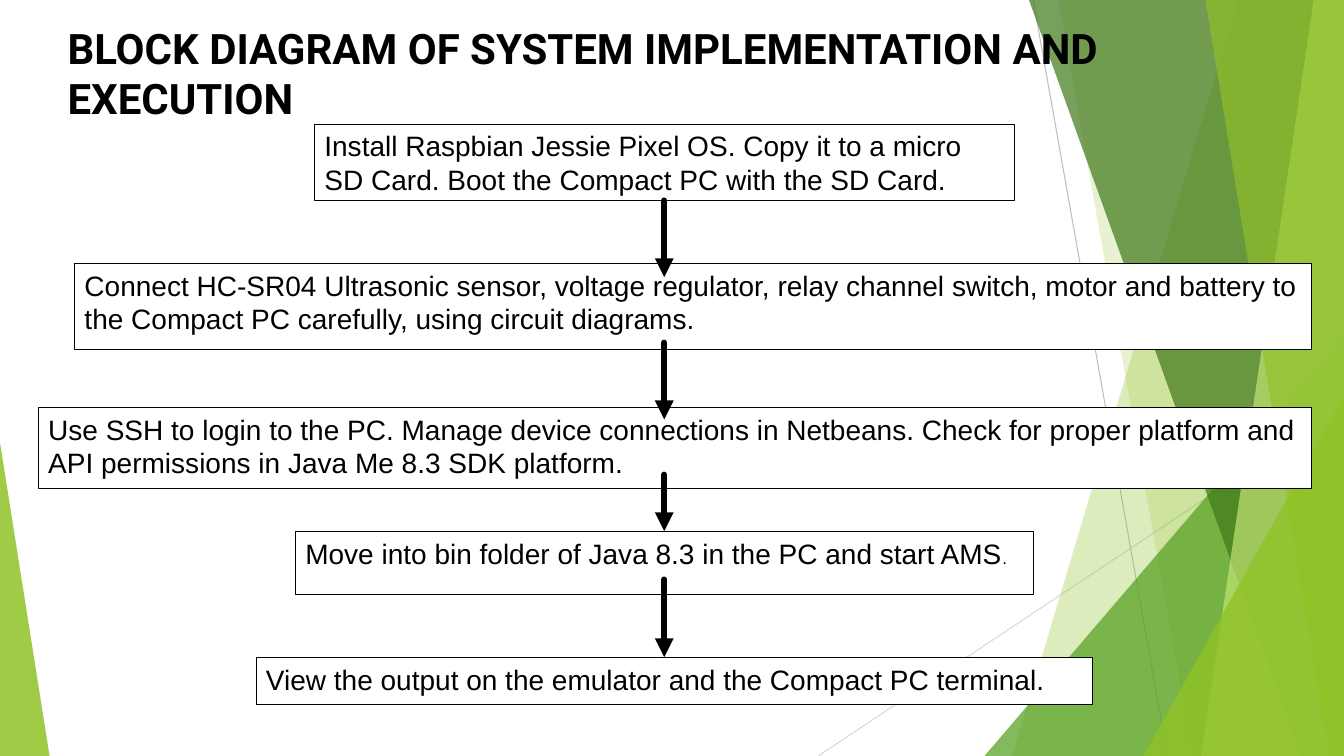
from lxml import etree
from pptx import Presentation
from pptx.dml.color import RGBColor
from pptx.enum.shapes import MSO_CONNECTOR, MSO_SHAPE
from pptx.enum.text import MSO_ANCHOR, MSO_AUTO_SIZE, PP_ALIGN
from pptx.oxml.ns import qn
from pptx.util import Inches, Pt

STRAIGHT = MSO_CONNECTOR.STRAIGHT
RECTANGLE, TRIANGLE = MSO_SHAPE.RECTANGLE, MSO_SHAPE.ISOSCELES_TRIANGLE
TOP, LEFT, NO_FIT = MSO_ANCHOR.TOP, PP_ALIGN.LEFT, MSO_AUTO_SIZE.NONE
TOP_SIDE, BOTTOM_SIDE = 0, 2

BLACK, WHITE = RGBColor(0, 0, 0), RGBColor(255, 255, 255)
LIME = RGBColor(0x90, 0xC2, 0x26)
GREEN = RGBColor(0x54, 0xA0, 0x21)
FOREST = RGBColor(0x3F, 0x78, 0x19)
PALE_LIME = RGBColor(0xC0, 0xE4, 0x74)
GREY, LIGHT_GREY = RGBColor(0xBF, 0xBF, 0xBF), RGBColor(0xD9, 0xD9, 0xD9)

COLUMNS, ROWS = 160, 90
CELL = Inches(1) / 12
SPINE = 79.08  # column of the arrows between steps


def cells(*counts):
    return [round(count * CELL) for count in counts]


class FlowSlide:
    """Holds the slide and its style; lengths are columns and rows of the grid."""

    title_font, body_font = "Roboto", "Arial"
    title_size, body_size, small_size = Pt(30), Pt(20), Pt(12)

    def __init__(self, presentation):
        presentation.slide_width, presentation.slide_height = cells(COLUMNS, ROWS)
        self.slide = presentation.slides.add_slide(presentation.slide_layouts[5])
        self.shapes = self.slide.shapes

    def style_text(self, frame, font, size, bold=False):
        frame.word_wrap = True
        frame.auto_size = NO_FIT
        frame.vertical_anchor = TOP
        for paragraph in frame.paragraphs:
            paragraph.alignment = LEFT
            for run in paragraph.runs:
                run.font.name, run.font.size, run.font.bold = font, size, bold
                run.font.color.rgb = BLACK

    def title(self, text, left, top, width, height):
        """Fills the title placeholder and brings it in front of the decoration."""
        heading = self.shapes.title
        heading.left, heading.top, heading.width, heading.height = cells(left, top, width, height)
        heading.text_frame.text = text
        self.style_text(heading.text_frame, self.title_font, self.title_size, True)
        self.shapes.element.append(heading.element)

    def tint(self, shape, color, opacity):
        shape.shadow.inherit = False
        shape.fill.solid()
        shape.fill.fore_color.rgb = color
        shape.line.fill.background()
        color_node = shape.fill._xPr.find(f"{qn('a:solidFill')}/{qn('a:srgbClr')}")
        etree.SubElement(color_node, qn("a:alpha"), val=str(opacity * 1000))

    def ribbon(self, top_column, bottom_column, color, opacity):
        """Fills from a slanted edge to the right side of the slide."""
        corners = [(COLUMNS, 0), (COLUMNS, ROWS), (bottom_column, ROWS)]
        builder = self.shapes.build_freeform(*cells(top_column, 0))
        builder.add_line_segments([cells(*corner) for corner in corners], close=True)
        self.tint(builder.convert_to_shape(), color, opacity)

    def corner_triangle(self, left, top, width, apex, color, opacity):
        """Stands on the lower edge of the slide."""
        triangle = self.shapes.add_shape(TRIANGLE, *cells(left, top, width, ROWS - top))
        triangle.adjustments[0] = apex
        self.tint(triangle, color, opacity)

    def line(self, start, end, color, weight):
        connector = self.shapes.add_connector(STRAIGHT, *cells(*start, *end))
        connector.line.color.rgb = color
        connector.line.width = Pt(weight)
        etree.SubElement(connector.element.spPr, qn("a:effectLst"))
        return connector

    def arrow(self, start_row, end_row):
        connector = self.line((SPINE, start_row), (SPINE, end_row), BLACK, 4.5)
        outline = connector.line._get_or_add_ln()
        outline.set("cap", "rnd")
        etree.SubElement(outline, qn("a:tailEnd"), type="triangle")
        return connector

    def step(self, text, left, top, width, height):
        box = self.shapes.add_shape(RECTANGLE, *cells(left, top, width, height))
        box.shadow.inherit = False
        box.fill.solid()
        box.fill.fore_color.rgb = WHITE
        box.line.color.rgb = BLACK
        box.line.width = Pt(0.5)
        box.text_frame.text = text
        self.style_text(box.text_frame, self.body_font, self.body_size)
        return box


def main():
    presentation = Presentation()
    flow = FlowSlide(presentation)

    flow.line((123, 0), (139, ROWS), GREY, 0.75)
    flow.line((COLUMNS, 48.4), (97.4, ROWS), LIGHT_GREY, 0.75)
    flow.ribbon(147.4, 120.5, LIME, 30)
    flow.ribbon(126, 142, LIME, 20)
    flow.corner_triangle(117.2, 40, 42.8, 1, GREEN, 72)
    flow.ribbon(122.5, 154.9, FOREST, 70)
    flow.ribbon(156.4, 143, PALE_LIME, 70)
    flow.ribbon(143.5, 158.2, LIME, 65)
    flow.corner_triangle(136.1, 47.2, 23.9, 1, LIME, 80)
    flow.corner_triangle(0, 52.7, 5.9, 0, LIME, 85)

    install = flow.step(
        "Install Raspbian Jessie Pixel OS. Copy it to a micro SD Card. "
        "Boot the Compact PC with the SD Card.", 37.44, 14.76, 83.28, 9.12)
    flow.step(
        "Connect HC-SR04 Ultrasonic sensor, voltage regulator, relay channel switch, motor "
        "and battery to the Compact PC carefully, using circuit diagrams.",
        8.88, 31.32, 147.24, 10.32)
    flow.step(
        "Use SSH to login to the PC. Manage device connections in Netbeans. Check for proper "
        "platform and API permissions in Java Me 8.3 SDK platform.",
        4.56, 48.48, 151.56, 9.72)
    start = flow.step("Move into bin folder of Java 8.3 in the PC and start AMS",
                      35.16, 63.24, 87.84, 7.56)
    full_stop = start.text_frame.paragraphs[0].add_run()
    full_stop.text = "."
    flow.style_text(start.text_frame, flow.body_font, flow.body_size)
    full_stop.font.size = flow.small_size
    flow.step("View the output on the emulator and the Compact PC terminal.",
              30.48, 78.24, 99.6, 5.64)

    flow.arrow(23.88, 33).begin_connect(install, BOTTOM_SIDE)
    flow.arrow(40.8, 49.92)
    flow.arrow(56.52, 63.24).end_connect(start, TOP_SIDE)
    flow.arrow(69, 78.24)

    flow.title("BLOCK DIAGRAM OF SYSTEM IMPLEMENTATION AND EXECUTION", 6.84, 2.04, 144, 13)
    presentation.save("out.pptx")


if __name__ == "__main__":
    main()
